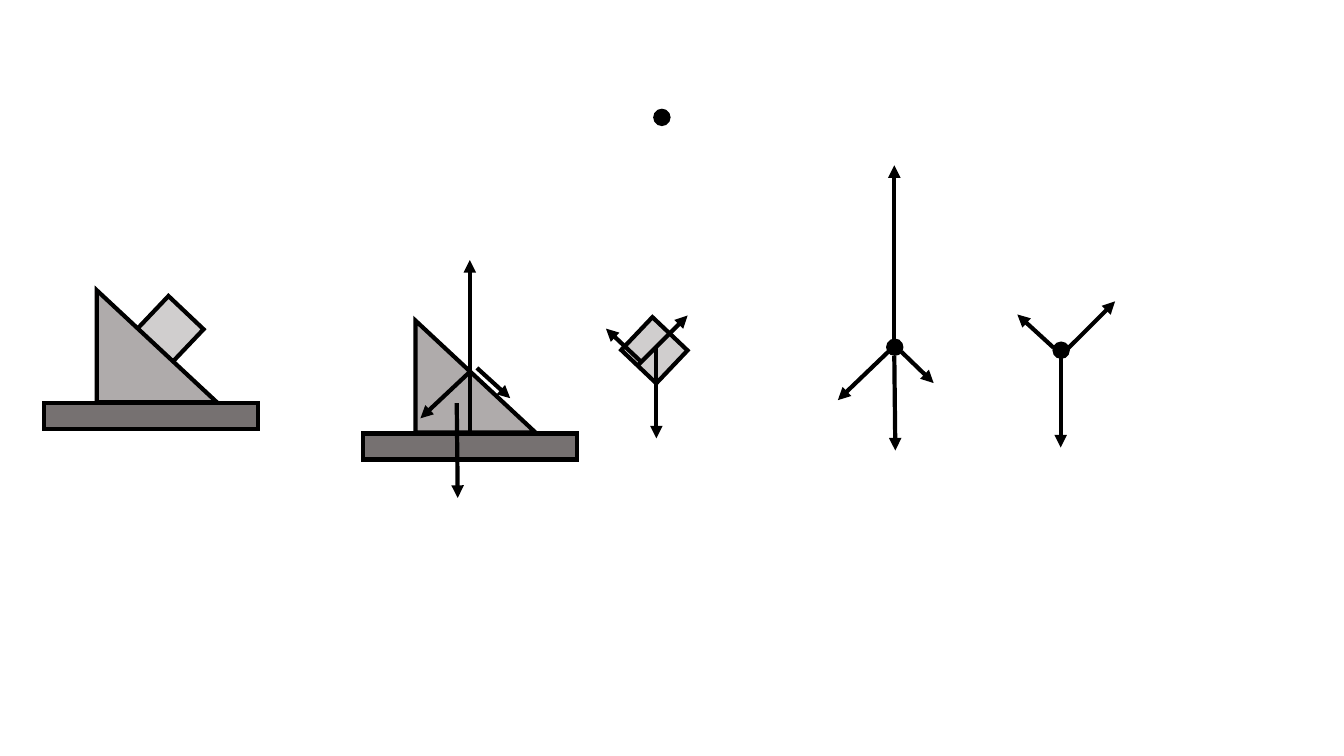
from pptx import Presentation
from pptx.dml.color import RGBColor
from pptx.enum.shapes import MSO_CONNECTOR, MSO_SHAPE as SHAPE
from pptx.oxml.ns import qn
from pptx.util import Inches, Pt
from lxml.etree import SubElement

BLACK = "000000"
TABLE_GRAY = "767171"
BLOCK_GRAY = "D0CECE"
WEDGE_GRAY = "AFABAB"
DOT_SIZE = 0.13


def color(hex_code):
    return RGBColor.from_string(hex_code)


def outline(s):
    s.line.color.rgb = color(BLACK)
    s.line.width = Pt(3)
    ln = s._element.spPr.find(qn("a:ln"))
    SubElement(ln, qn("a:miter"), lim="800000")
    return ln


def add_solid(shapes, kind, x, y, w, h, fill, rotation=0):
    sp = shapes.add_shape(kind, Inches(x), Inches(y), Inches(w), Inches(h))
    sp.shadow.inherit = False
    sp.fill.solid()
    sp.fill.fore_color.rgb = color(fill)
    sp.rotation = rotation
    outline(sp)


def add_arrow(shapes, x1, y1, x2, y2):
    line = shapes.add_connector(
        MSO_CONNECTOR.STRAIGHT, Inches(x1), Inches(y1), Inches(x2), Inches(y2)
    )
    SubElement(outline(line), qn("a:tailEnd"), type="triangle")
    SubElement(line._element.spPr, qn("a:effectLst"))


def add_arrows(shapes, arrows):
    for ends in arrows:
        add_arrow(shapes, *ends)


def add_dot(shapes, x, y):
    add_solid(shapes, SHAPE.OVAL, x, y, DOT_SIZE, DOT_SIZE, BLACK)


def add_incline(shapes, x, y, block_x, block_y):
    add_solid(shapes, SHAPE.RECTANGLE, x, y, 2.12, 0.26, TABLE_GRAY)
    add_solid(shapes, SHAPE.RECTANGLE, block_x, block_y, 0.48, 0.45, BLOCK_GRAY, 43.5)
    add_solid(shapes, SHAPE.RIGHT_TRIANGLE, x + 0.52, y - 1.12, 1.19, 1.11, WEDGE_GRAY)


def main():
    prs = Presentation()
    prs.slide_width, prs.slide_height = Inches(13.33), Inches(7.5)
    slide = prs.slides.add_slide(prs.slide_layouts[6])

    setup = slide.shapes.add_group_shape().shapes
    add_incline(setup, 0.44, 4, 1.45, 3.04)

    separated = slide.shapes.add_group_shape().shapes
    add_incline(separated, 3.6, 4.3, 6.25, 3.25)
    block_forces = [
        (6.51, 3.45, 6.51, 4.35),
        (6.33, 3.62, 6.82, 3.13),
        (6.36, 3.59, 6.01, 3.26),
    ]
    wedge_forces = [
        (4.67, 3.68, 4.17, 4.15),
        (4.53, 4, 4.54, 4.94),
        (4.73, 3.65, 5.06, 3.95),
        (4.66, 4.3, 4.66, 2.58),
    ]
    add_arrows(separated, block_forces + wedge_forces)

    add_dot(slide.shapes, 6.5, 1.1)

    diagrams = slide.shapes.add_group_shape().shapes
    add_arrows(diagrams, [
        (8.81, 3.49, 8.31, 3.97),
        (8.87, 3.53, 8.88, 4.47),
        (8.94, 3.49, 9.26, 3.8),
        (8.87, 3.36, 8.87, 1.64),
    ])
    add_dot(diagrams, 8.81, 3.38)
    add_dot(diagrams, 10.46, 3.41)
    add_arrows(diagrams, [
        (10.52, 3.54, 10.52, 4.44),
        (10.57, 3.48, 11.06, 2.99),
        (10.45, 3.45, 10.09, 3.12),
    ])

    prs.save("out.pptx")


if __name__ == "__main__":
    main()
